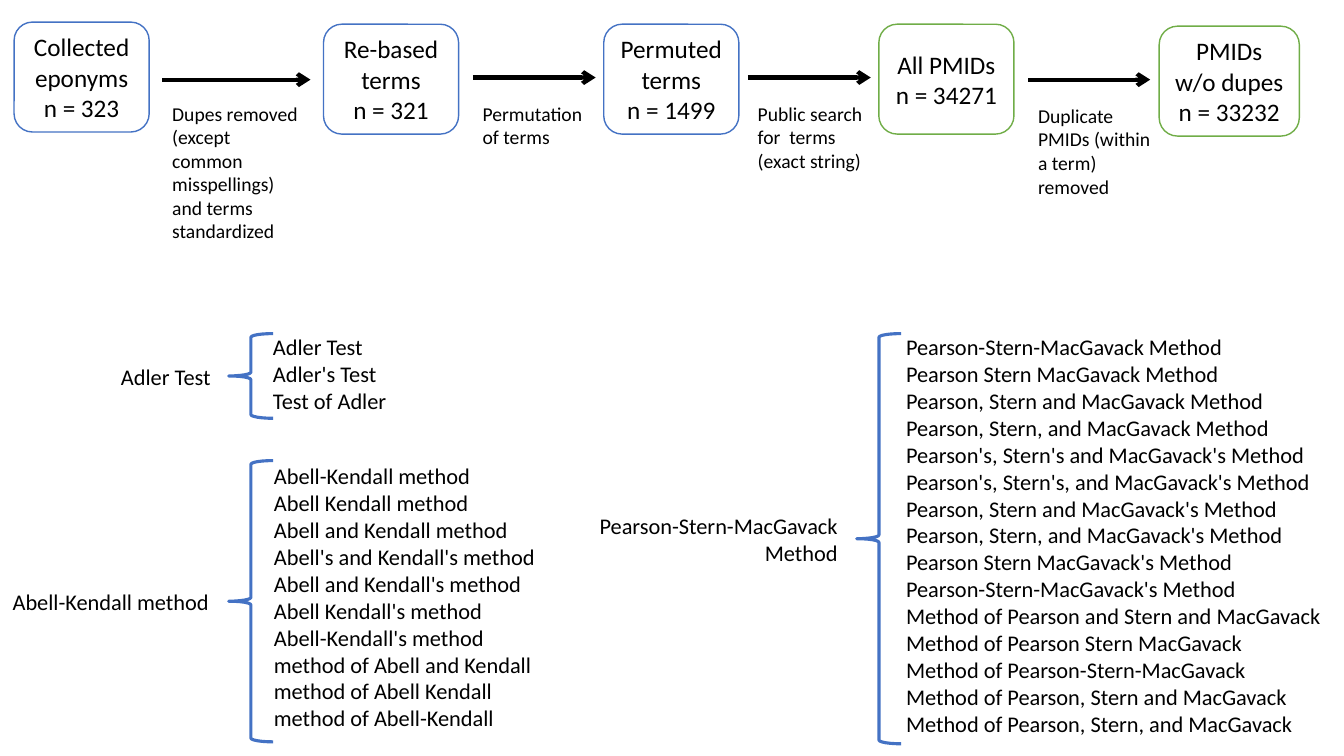
import dataclasses

import pptx
import pptx.dml.color
import pptx.enum.shapes
import pptx.enum.text
import pptx.oxml
import pptx.oxml.ns
import pptx.util

Pt = pptx.util.Pt
RGB = pptx.dml.color.RGBColor.from_string
SHAPE = pptx.enum.shapes.MSO_SHAPE
ALIGN = pptx.enum.text.PP_ALIGN


@dataclasses.dataclass(frozen=True)
class Theme:
    font: str = "Calibri"
    ink: str = "000000"
    paper: str = "FFFFFF"
    blue: str = "4472C4"
    green: str = "70AD47"
    stage_size: int = 18
    term_size: int = 16
    note_size: int = 14
    stage_line: float = 1
    brace_line: float = 2.25
    arrow_line: float = 3


THEME = Theme()

STAGES = [
    ((10.1, 15.8, 96.5), THEME.blue, ["Collected eponyms", "n = 323"]),
    ((231.1, 17.3, 96.5), THEME.blue, ["Re-based terms", "n = 321"]),
    ((431.3, 17.3, 96.5), THEME.blue, ["Permuted\vterms", "n = 1499"]),
    ((627.8, 17.3, 96.5), THEME.green, ["All PMIDs", "n = 34271"]),
    ((828, 18.7, 100.1), THEME.green, ["PMIDs w/o dupes", "n = 33232"]),
]
STAGE_HEIGHT = 78.5

STEPS = [
    ((115.9, 56.9, 105.9), (69.1, 105.1, 143.3),
     "Dupes removed (except common misspellings) and terms standardized"),
    ((337.7, 55.4, 87.8), (69.1, 96.5, 74.9), "Permutation of terms"),
    ((534.2, 55.4, 87.8), (69.1, 96.5, 92.2),
     "Public search for  terms (exact string)"),
    ((734.4, 56.9, 87.2), (70.6, 96.5, 108.7),
     "Duplicate PMIDs (within a term) removed"),
]

GROUPS = [
    ((69.8, 255.6, 87.8, 26.6), ["Adler Test"],
     (163.4, 238.3, 31.7, 60.5),
     (187.9, 234.7, 114.5, 67.7),
     ["Adler Test", "Adler's Test", "Test of Adler"]),
    ((-4.3, 416.9, 160.6, 26.6), ["Abell-Kendall method"],
     (163.4, 329, 31.7, 200.9),
     (188.6, 326.9, 201.6, 205.9),
     ["Abell-Kendall method",
      "Abell Kendall method",
      "Abell and Kendall method",
      "Abell's and Kendall's method",
      "Abell and Kendall's method",
      "Abell Kendall's method",
      "Abell-Kendall's method",
      "method of Abell and Kendall",
      "method of Abell Kendall",
      "method of Abell-Kendall"]),
    ((414, 362.2, 191.5, 46.1), ["Pearson-Stern-MacGavack", "Method"],
     (612, 238.3, 31.7, 293),
     (640.1, 234.7, 328.3, 298.1),
     ["Pearson-Stern-MacGavack Method",
      "Pearson Stern MacGavack Method",
      "Pearson, Stern and MacGavack Method",
      "Pearson, Stern, and MacGavack Method",
      "Pearson's, Stern's and MacGavack's Method",
      "Pearson's, Stern's, and MacGavack's Method",
      "Pearson, Stern and MacGavack's Method",
      "Pearson, Stern, and MacGavack's Method",
      "Pearson Stern MacGavack's Method",
      "Pearson-Stern-MacGavack's Method",
      "Method of Pearson and Stern and MacGavack",
      "Method of Pearson Stern MacGavack",
      "Method of Pearson-Stern-MacGavack",
      "Method of Pearson, Stern and MacGavack",
      "Method of Pearson, Stern, and MacGavack"]),
]


def write(tf, lines, size, align):
    tf.word_wrap = True
    for i, line in enumerate(lines):
        p = tf.add_paragraph() if i else tf.paragraphs[0]
        p.alignment = align
        for j, part in enumerate(line.split("\v")):
            if j:
                p.add_line_break()
            r = p.add_run()
            r.text = part
            r.font.name = THEME.font
            r.font.size = Pt(size)
            r.font.color.rgb = RGB(THEME.ink)


def add_text(s, box, lines, size, align=ALIGN.LEFT):
    tf = s.shapes.add_textbox(*map(Pt, box)).text_frame
    tf.auto_size = pptx.enum.text.MSO_AUTO_SIZE.SHAPE_TO_FIT_TEXT
    write(tf, lines, size, align)


def add_outline(s, kind, box, color, weight):
    sp = s.shapes.add_shape(kind, *map(Pt, box))
    sp.shadow.inherit = False
    sp.fill.background()
    sp.line.color.rgb = RGB(color)
    sp.line.width = Pt(weight)
    return sp


def add_stage(s, place, color, lines):
    sp = add_outline(s, SHAPE.ROUNDED_RECTANGLE, (*place, STAGE_HEIGHT),
                     color, THEME.stage_line)
    sp.fill.solid()
    sp.fill.fore_color.rgb = RGB(THEME.paper)
    sp.text_frame.vertical_anchor = pptx.enum.text.MSO_ANCHOR.MIDDLE
    write(sp.text_frame, lines, THEME.stage_size, ALIGN.CENTER)


def add_arrow(s, x, y, length):
    cx = s.shapes.add_connector(pptx.enum.shapes.MSO_CONNECTOR.STRAIGHT,
                                Pt(x), Pt(y), Pt(x + length), Pt(y))
    cx.line.color.rgb = RGB(THEME.ink)
    cx.line.width = Pt(THEME.arrow_line)
    ns = pptx.oxml.ns.nsdecls("a")
    ln = cx.line._get_or_add_ln()
    ln.append(pptx.oxml.parse_xml(f'<a:tailEnd {ns} type="arrow"/>'))
    ln.addnext(pptx.oxml.parse_xml(f"<a:effectLst {ns}/>"))


def add_step(s, arrow, note, text):
    top, width, height = note
    add_arrow(s, *arrow)
    add_text(s, (arrow[0], top, width, height), [text], THEME.note_size)


def add_group(s, label_box, label, brace_box, list_box, terms):
    add_text(s, label_box, label, THEME.term_size, ALIGN.RIGHT)
    add_text(s, list_box, terms, THEME.term_size)
    add_outline(s, SHAPE.LEFT_BRACE, brace_box, THEME.blue, THEME.brace_line)


def main():
    """Build the eponym search flow slide and save it."""
    prs = pptx.Presentation()
    prs.slide_width, prs.slide_height = Pt(960), Pt(540)
    s = prs.slides.add_slide(prs.slide_layouts[6])
    for stage in STAGES:
        add_stage(s, *stage)
    for step in STEPS:
        add_step(s, *step)
    for group in GROUPS:
        add_group(s, *group)
    prs.save("out.pptx")


main()
